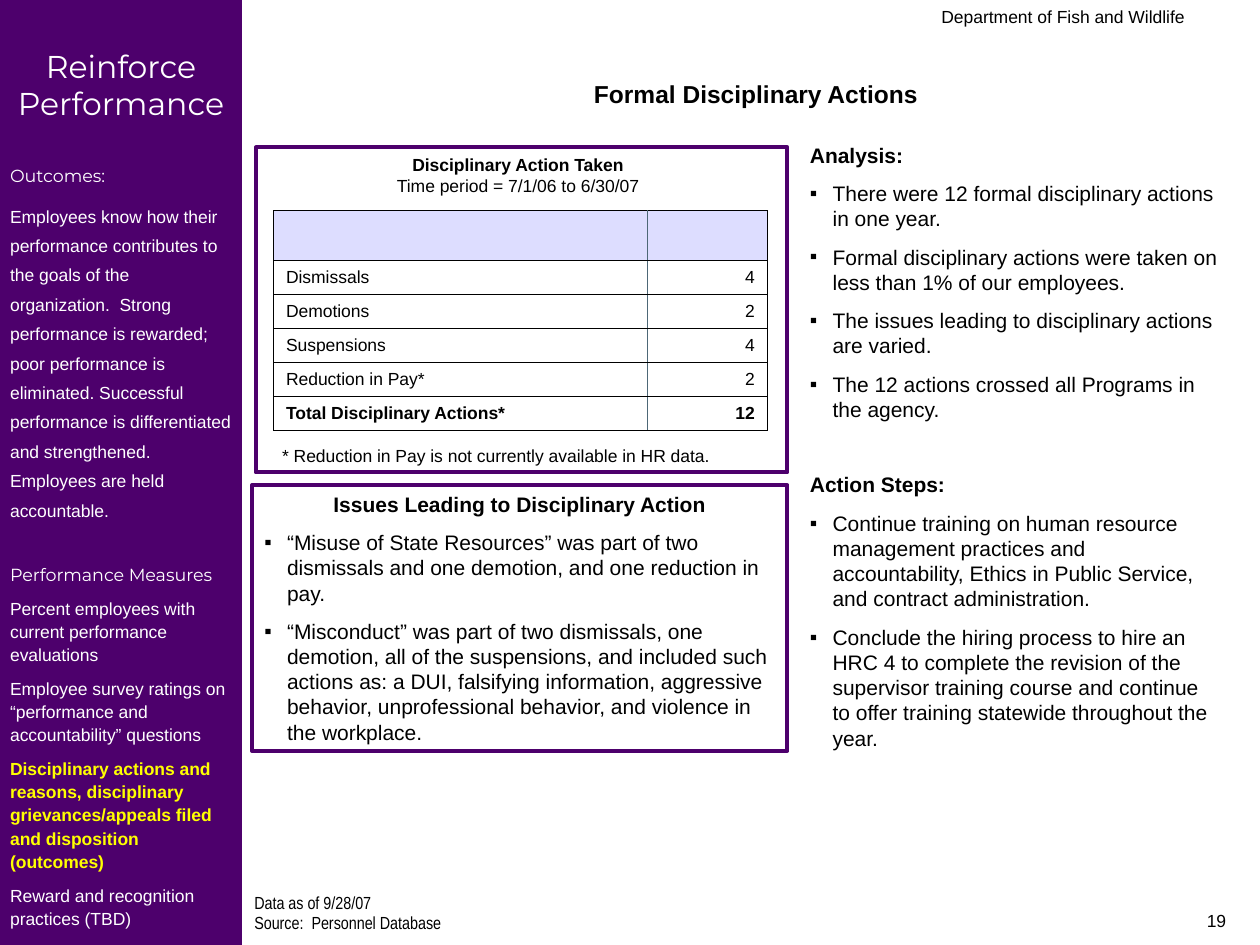
from lxml.etree import SubElement as Sub
from pptx import Presentation
from pptx.dml.color import RGBColor as RGB
from pptx.enum.shapes import MSO_SHAPE as Kind
from pptx.enum.text import MSO_ANCHOR as Anchor, PP_ALIGN as Align
from pptx.oxml.ns import qn
from pptx.util import Inches, Pt

UNIT = Inches(0.1)
COLS, ROWS = 100, 75
PURPLE = RGB(0x4D, 0x00, 0x6C)
LILAC = RGB(0xDD, 0xDD, 0xFF)
SLATE = RGB(0x4D, 0x67, 0x76)
YELLOW = RGB(0xFF, 0xFF, 0x00)
WHITE = RGB(0xFF, 0xFF, 0xFF)
BLACK = RGB(0, 0, 0)


def place(box):
    return [round(n * UNIT) for n in box]


def style(para, size=10, bold=False, color=BLACK, face="Arial",
          align=Align.LEFT, gap=0, lead=None, dot=False):
    para.alignment = align
    para.space_before = Pt(gap)
    if lead:
        para.line_spacing = lead
    if dot:
        props = para._p.get_or_add_pPr()
        props.set("marL", str(Inches(0.18)))
        props.set("indent", str(-Inches(0.18)))
        Sub(props, qn("a:buFont"), typeface="Arial")
        Sub(props, qn("a:buChar"), char="▪")
    font = para.font
    font.size, font.bold, font.name = Pt(size), bold, face
    font.color.rgb = color


def write(shape, lines, inset=0.1, top=0.05):
    frame = shape.text_frame
    frame.word_wrap = True
    frame.vertical_anchor = Anchor.TOP
    frame.margin_left = frame.margin_right = Inches(inset)
    frame.margin_top, frame.margin_bottom = Inches(top), Inches(0.04)
    for i, (text, look) in enumerate(lines):
        para = frame.add_paragraph() if i else frame.paragraphs[0]
        para.text = text
        style(para, **look)


def label(slide, box, lines):
    write(slide.shapes.add_textbox(*place(box)), lines)


def panel(slide, box, fill=None, edge=None):
    shape = slide.shapes.add_shape(Kind.RECTANGLE, *place(box))
    shape.shadow.inherit = False
    if fill:
        shape.fill.solid()
        shape.fill.fore_color.rgb = fill
    else:
        shape.fill.background()
    if edge:
        shape.line.color.rgb = edge
        shape.line.width = Pt(2.25)
    else:
        shape.line.fill.background()
    return shape


def side(slide, box):
    head = dict(face="Montserrat", color=WHITE)
    item = dict(color=WHITE, gap=6.2, lead=1.1)
    lines = [
        ("Reinforce Performance", dict(head, size=18, align=Align.CENTER)),
        ("Outcomes:", dict(head, gap=24.6)),
        ("Employees know how their performance contributes to the goals of "
         "the organization.  Strong performance is rewarded; poor performance "
         "is eliminated. Successful performance is differentiated and "
         "strengthened. Employees are held accountable.",
         dict(item, lead=1.4)),
        ("Performance Measures", dict(head, gap=24.6)),
        ("Percent employees with current performance evaluations", item),
        ("Employee survey ratings on “performance and accountability” "
         "questions", item),
        ("Disciplinary actions and reasons, disciplinary grievances/appeals "
         "filed and disposition (outcomes)",
         dict(item, color=YELLOW, bold=True)),
        ("Reward and recognition practices (TBD)", item),
    ]
    write(panel(slide, box, fill=PURPLE), lines, inset=0.08, top=0.37)


def heading(slide, box):
    title = slide.shapes.title
    title.left, title.top, title.width, title.height = place(box)
    write(title, [("Formal Disciplinary Actions",
                   dict(size=14, bold=True, align=Align.CENTER))])


def border(cell, edges):
    props = cell._tc.get_or_add_tcPr()
    for side_name, color in zip("LRTB", edges):
        line = Sub(props, qn("a:ln" + side_name), w=str(Pt(0.45)))
        Sub(Sub(line, qn("a:solidFill")), qn("a:srgbClr"), val=str(color))


def grid(slide, box):
    rows = [("", ""), ("Dismissals", "4"), ("Demotions", "2"),
            ("Suspensions", "4"), ("Reduction in Pay*", "2"),
            ("Total Disciplinary Actions*", "12")]
    x, y, w, h = box
    table = slide.shapes.add_table(len(rows), 2, *place(box)).table
    table.first_row = table.horz_banding = False
    for col, share in zip(table.columns, (0.757, 0.243)):
        col.width = round(w * share * UNIT)
    top = 4
    body = (h - top) / (len(rows) - 1)
    for r, row in enumerate(rows):
        table.rows[r].height = round((body if r else top) * UNIT)
        for c, text in enumerate(row):
            cell = table.cell(r, c)
            cell.text = text
            cell.vertical_anchor = Anchor.MIDDLE
            style(cell.text_frame.paragraphs[0],
                  bold=r == len(rows) - 1,
                  align=Align.RIGHT if c else Align.LEFT)
            border(cell, (SLATE if c else BLACK, BLACK if c else SLATE,
                          BLACK, BLACK))
            cell.fill.solid()
            cell.fill.fore_color.rgb = WHITE if r else LILAC


def taken(slide, box):
    x, y, w, h = box
    panel(slide, box, edge=PURPLE)
    label(slide, (x - 0.3, y, w, 4.4),
          [("Disciplinary Action Taken", dict(bold=True, align=Align.CENTER)),
           ("Time period = 7/1/06 to 6/30/07", dict(align=Align.CENTER))])
    grid(slide, (x + 1.4, y + 5, w - 3, 17.5))
    label(slide, (x + 1.1, y + h - 2.7, w, 2.7),
          [("* Reduction in Pay is not currently available in HR data.", {})])


def issues(slide, box):
    point = dict(size=12, gap=7.5, dot=True)
    write(panel(slide, box, edge=PURPLE), [
        ("Issues Leading to Disciplinary Action",
         dict(size=12, bold=True, align=Align.CENTER)),
        ("“Misuse of State Resources” was part of two dismissals and one "
         "demotion, and one reduction in pay.", point),
        ("“Misconduct” was part of two dismissals, one demotion, all of the "
         "suspensions, and included such actions as: a DUI, falsifying "
         "information, aggressive behavior, unprofessional behavior, and "
         "violence in the workplace.", point),
    ])


def notes(slide, box):
    head = dict(size=12, bold=True)
    point = dict(size=12, gap=7.5, dot=True)
    label(slide, box, [
        ("Analysis:", head),
        ("There were 12 formal disciplinary actions in one year.", point),
        ("Formal disciplinary actions were taken on less than 1% of our "
         "employees.", point),
        ("The issues leading to disciplinary actions are varied.", point),
        ("The 12 actions crossed all Programs in the agency.", point),
        ("Action Steps:", dict(head, gap=28.8)),
        ("Continue training on human resource management practices and "
         "accountability, Ethics in Public Service, and contract "
         "administration.", point),
        ("Conclude the hiring process to hire an HRC 4 to complete the "
         "revision of the supervisor training course and continue to offer "
         "training statewide throughout the year.", point),
    ])


def edges(slide, box):
    x, y, w, h = box
    base = y + h
    small = dict(face="Arial Narrow", lead=0.7)
    label(slide, (x + 25.8, y, 50, 2.5),
          [("Department of Fish and Wildlife", dict(align=Align.RIGHT))])
    label(slide, (x, base - 4.2, 48.3, 3.7),
          [("Data as of 9/28/07", small),
           ("Source:  Personnel Database", dict(small, gap=2.5))])
    label(slide, (x + w - 25, base - 3.3, 23.3, 3.3),
          [("19", dict(align=Align.RIGHT))])


def main():
    deck = Presentation()
    deck.slide_width, deck.slide_height = COLS * UNIT, ROWS * UNIT
    slide = deck.slides.add_slide(deck.slide_layouts[5])
    heading(slide, (20, 5.8, 80, 3.4))
    issues(slide, (20, 38.5, 42.5, 21.1))
    notes(slide, (63.3, 10.8, 34.4, 52.4))
    taken(slide, (20.3, 11.7, 42.2, 25.8))
    side(slide, (0, 0, 19.2, ROWS))
    edges(slide, (19.2, 0, COLS - 19.2, ROWS))
    deck.save("out.pptx")


if __name__ == "__main__":
    main()
